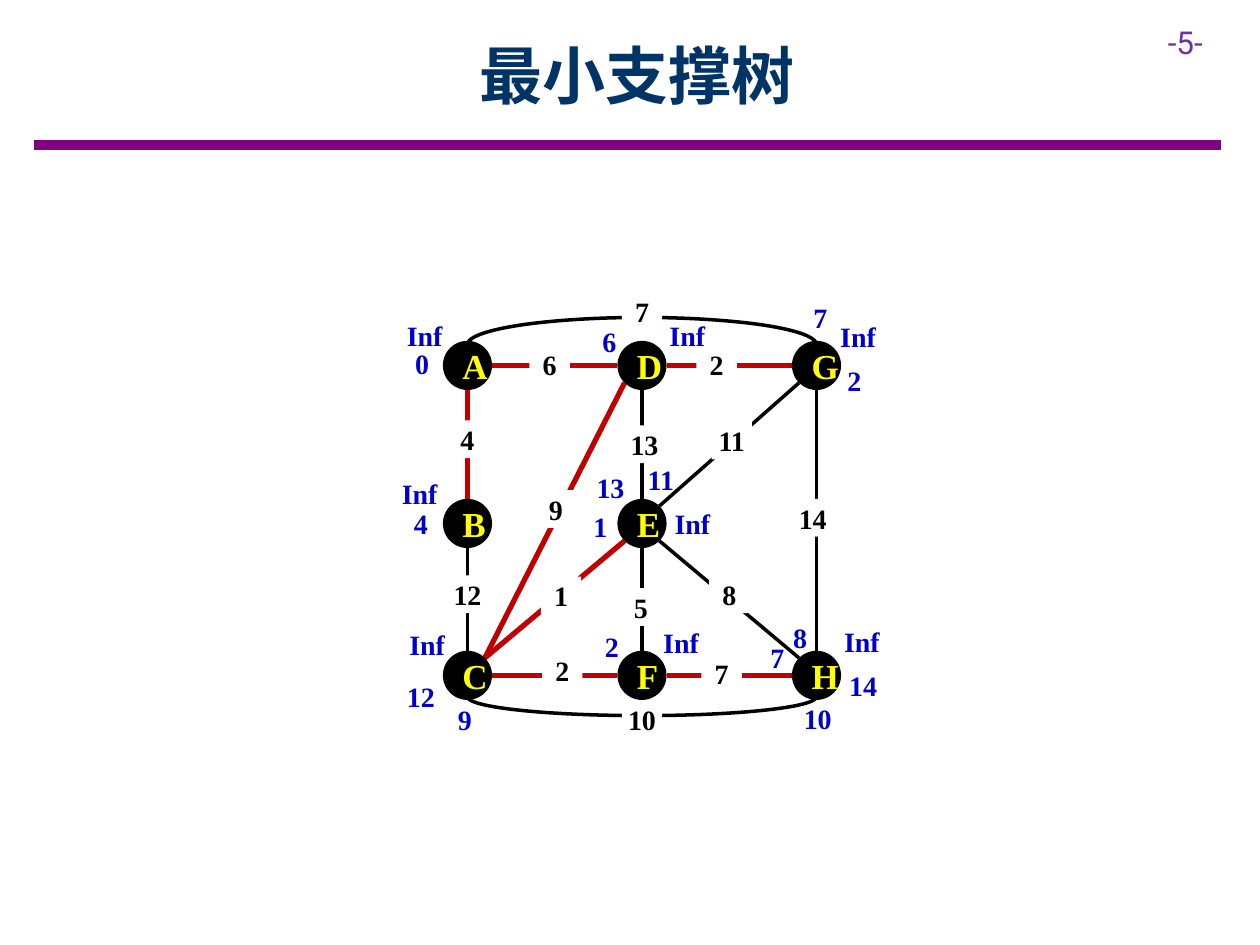
from dataclasses import dataclass
from math import hypot

from lxml import etree
from pptx import Presentation
from pptx.dml.color import RGBColor
from pptx.enum.shapes import MSO_CONNECTOR, MSO_SHAPE
from pptx.enum.text import MSO_ANCHOR, PP_ALIGN
from pptx.oxml.ns import qn
from pptx.util import Inches, Pt

STRAIGHT = MSO_CONNECTOR.STRAIGHT
ARC, OVAL, RECTANGLE = MSO_SHAPE.ARC, MSO_SHAPE.OVAL, MSO_SHAPE.RECTANGLE
MIDDLE, TOP = MSO_ANCHOR.MIDDLE, MSO_ANCHOR.TOP
CENTER, LEFT = PP_ALIGN.CENTER, PP_ALIGN.LEFT


@dataclass(frozen=True)
class Theme:
    title_font: str = "Noto Sans CJK SC"
    number_font: str = "Roboto"
    graph_font: str = "Times New Roman"
    title_size: int = 36
    number_size: int = 18
    node_size: int = 20
    label_size: int = 16
    title: str = "003366"
    number: str = "7030A0"
    rule: str = "800080"
    node: str = "000000"
    node_text: str = "FFFF00"
    paper: str = "FFFFFF"
    edge: str = "000000"
    tree: str = "C00000"
    distance: str = "0000CC"
    rule_width: int = 6
    edge_width: int = 2
    tree_width: int = 3


THEME = Theme()
DIAMETER = 0.39
LABEL_WIDTH, LABEL_HEIGHT = 0.32, 0.3

# Node places as shares of the graph box
COLUMNS = (0, 0.5, 1)
ROWS = (0, 0.51, 1)
NODES = {"A": (0, 0), "B": (0, 1), "C": (0, 2), "D": (1, 0),
         "E": (1, 1), "F": (1, 2), "G": (2, 0), "H": (2, 2)}

# Ends, weight, in the tree, shift of the weight from the middle of the edge
EDGES = [
    ("BC", "12", False, (0, -0.04)), ("DE", "13", False, (0.02, 0)),
    ("EF", "5", False, (-0.01, 0.06)), ("EG", "11", False, (0.02, -0.03)),
    ("EH", "8", False, (0, -0.04)), ("GH", "14", False, (-0.03, -0.02)),
    ("AB", "4", True, (0, -0.04)), ("AD", "6", True, (-0.04, -0.01)),
    ("DG", "2", True, (-0.1, -0.01)), ("CD", "9", True, (0.01, -0.09)),
    ("CE", "1", True, (0.05, -0.03)), ("CF", "2", True, (0.06, -0.04)),
    ("FH", "7", True, (-0.06, -0.02)),
]

# Ends, weight, top and height of the ellipse, angles, shift of the weight
ARCS = [
    ("AG", "7", -0.38, 0.43, (108.18, 0), (0, -0.43)),
    ("CH", "10", 0.02, 0.3, (0, 108), (0, 0.35)),
]

# Tentative distances around each node, with shifts from its centre
DISTANCES = {
    "A": [("Inf", -0.34, -0.24), ("0", -0.36, -0.02)],
    "B": [("Inf", -0.38, -0.24), ("4", -0.37, 0)],
    "C": [("Inf", -0.32, -0.25), ("12", -0.37, 0.17), ("9", -0.02, 0.35)],
    "D": [("Inf", 0.36, -0.24), ("6", -0.26, -0.19)],
    "E": [("Inf", 0.4, 0), ("13", -0.25, -0.29), ("11", 0.15, -0.35),
          ("1", -0.33, 0.02)],
    "F": [("Inf", 0.31, -0.26), ("2", -0.24, -0.23)],
    "G": [("Inf", 0.33, -0.23), ("7", 0.03, -0.38), ("2", 0.3, 0.12)],
    "H": [("Inf", 0.36, -0.27), ("14", 0.37, 0.08), ("10", 0.01, 0.34),
          ("8", -0.13, -0.3), ("7", -0.31, -0.14)],
}


def write(shape, text, font, size, color, bold=True, align=CENTER,
          anchor=MIDDLE, margins=(0.1, 0.05)):
    frame = shape.text_frame
    frame.text = text
    frame.word_wrap = True
    frame.vertical_anchor = anchor
    frame.margin_left = frame.margin_right = Inches(margins[0])
    frame.margin_top = frame.margin_bottom = Inches(margins[1])
    para = frame.paragraphs[0]
    para.alignment = align
    span = para.runs[0]
    span.font.name, span.font.size, span.font.bold = font, Pt(size), bold
    span.font.color.rgb = RGBColor.from_string(color)
    east_asian = etree.SubElement(span.font._element, qn("a:ea"))
    east_asian.set("typeface", font)


def add_text(page, box, text, *style, **options):
    shape = page.shapes.add_textbox(*map(Inches, box))
    write(shape, text, *style, **options)


def add_filled(page, kind, box, color):
    shape = page.shapes.add_shape(kind, *map(Inches, box))
    shape.shadow.inherit = False
    shape.fill.solid()
    shape.fill.fore_color.rgb = RGBColor.from_string(color)
    shape.line.fill.background()
    return shape


def add_line(page, start, end, color, width):
    line = page.shapes.add_connector(STRAIGHT, *map(Inches, (*start, *end)))
    line.line.color.rgb = RGBColor.from_string(color)
    line.line.width = Pt(width)
    etree.SubElement(line._element.spPr, qn("a:effectLst"))


def add_label(page, center, text, color, filled=False):
    box = (center[0] - LABEL_WIDTH / 2, center[1] - LABEL_HEIGHT / 2,
           LABEL_WIDTH, LABEL_HEIGHT)
    if filled:
        shape = add_filled(page, RECTANGLE, box, THEME.paper)
    else:
        shape = page.shapes.add_textbox(*map(Inches, box))
    write(shape, text, THEME.graph_font, THEME.label_size, color,
          margins=(0, 0.1))


def port(center, other):
    """Point on a node's rim, on the nearest of eight compass directions."""
    steps = [(b > a) - (b < a) for a, b in zip(center, other)]
    reach = DIAMETER / 2 / hypot(*steps)
    return [a + step * reach for a, step in zip(center, steps)]


def midpoint(start, end, shift):
    return [(a + b) / 2 + s for a, b, s in zip(start, end, shift)]


def add_header(page, box):
    left, top, width, height = box
    # Purple rule
    add_line(page, (left + width * 0.027, top + height),
             (left + width * 0.969, top + height),
             THEME.rule, THEME.rule_width)
    # Page number
    add_text(page, (left + width * 0.917, top + 0.13, width * 0.083, 0.4),
             "-5-", THEME.number_font, THEME.number_size, THEME.number,
             bold=False, align=LEFT, anchor=TOP)
    # Title
    add_text(page, (left + width * 0.09, top + 0.09, width * 0.831, 1),
             "最小支撑树", THEME.title_font, THEME.title_size, THEME.title)


def add_graph(page, box):
    left, top, width, height = box
    centers = {name: (left + width * COLUMNS[column], top + height * ROWS[row])
               for name, (column, row) in NODES.items()}

    # Straight edges, those of the tree last
    for ends, weight, in_tree, shift in EDGES:
        start, end = (centers[name] for name in ends)
        color, line_width = ((THEME.tree, THEME.tree_width) if in_tree
                             else (THEME.edge, THEME.edge_width))
        add_line(page, port(start, end), port(end, start), color, line_width)

    # Curved edges
    for ends, weight, rise, depth, angles, shift in ARCS:
        x, y = centers[ends[0]]
        arc = page.shapes.add_shape(
            ARC, *map(Inches, (x, y + rise, width, depth)))
        arc.shadow.inherit = False
        arc.adjustments[0], arc.adjustments[1] = angles
        arc.fill.background()
        arc.line.color.rgb = RGBColor.from_string(THEME.edge)
        arc.line.width = Pt(THEME.edge_width)

    # Weights
    for ends, weight, *_, shift in EDGES + ARCS:
        start, end = (centers[name] for name in ends)
        add_label(page, midpoint(start, end, shift), weight, THEME.edge, True)

    # Nodes
    for name, (x, y) in centers.items():
        node = add_filled(page, OVAL, (x - DIAMETER / 2, y - DIAMETER / 2,
                                       DIAMETER, DIAMETER), THEME.node)
        write(node, name, THEME.graph_font, THEME.node_size, THEME.node_text,
              margins=(0.1, 0.1))

    # Distances
    for name, labels in DISTANCES.items():
        x, y = centers[name]
        for text, dx, dy in labels:
            add_label(page, (x + dx, y + dy), text, THEME.distance)


def main():
    deck = Presentation()
    deck.slide_width, deck.slide_height = Inches(10), Inches(7.5)
    page = deck.slides.add_slide(deck.slide_layouts[6])
    add_header(page, (0, 0, 10, 1.15))
    add_graph(page, (3.71, 2.9, 2.77, 2.46))
    deck.save("out.pptx")


if __name__ == "__main__":
    main()
